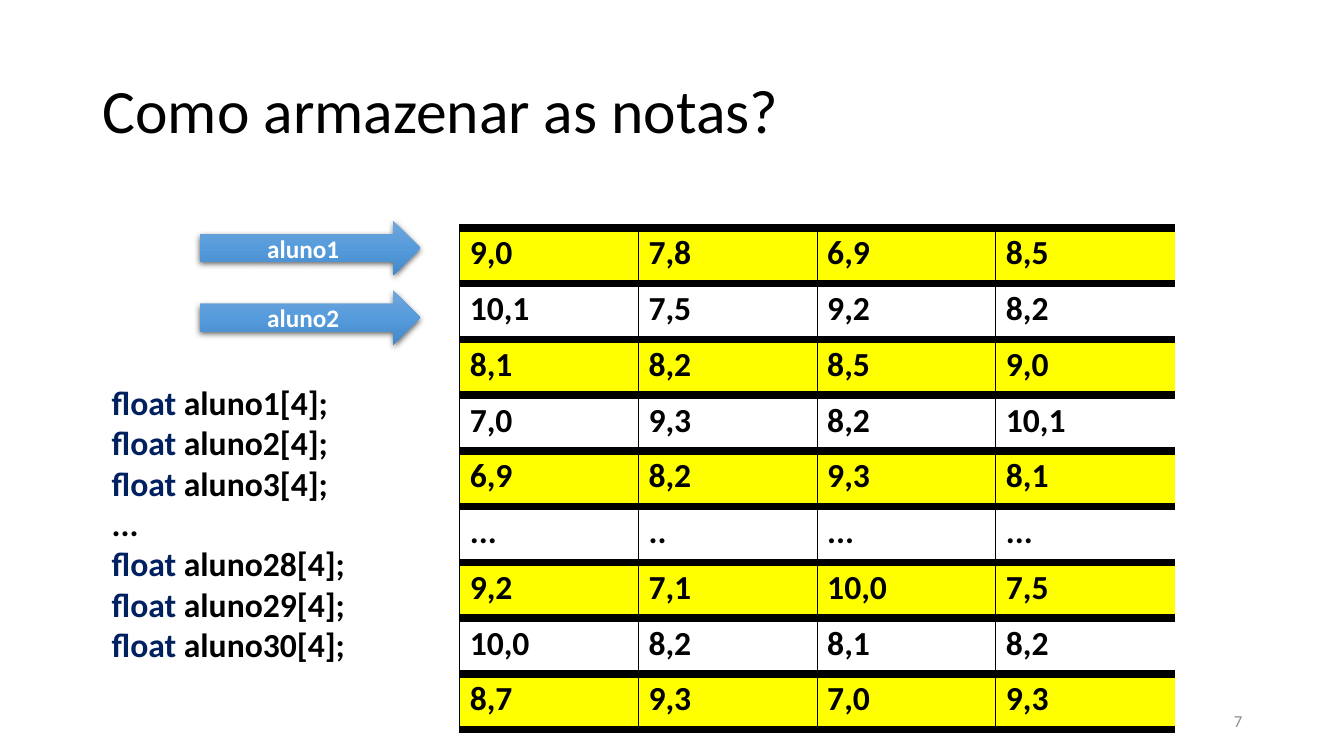
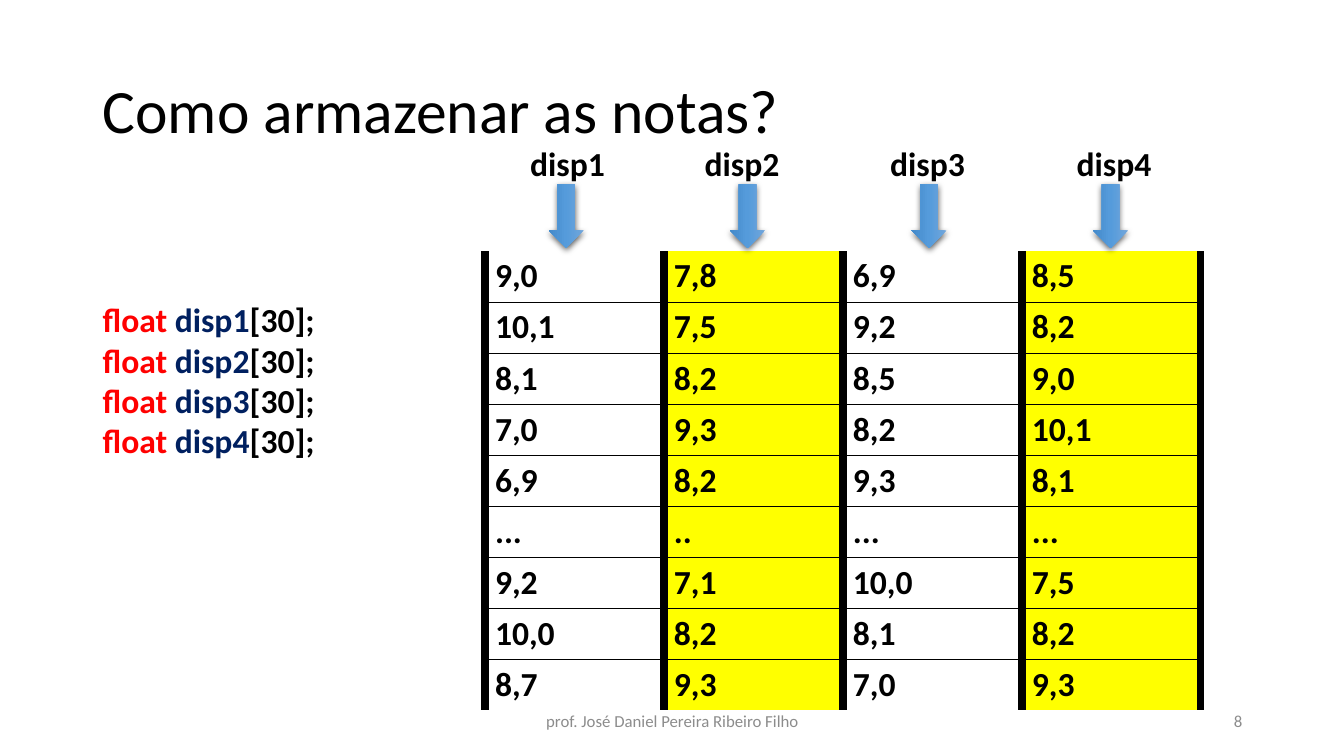
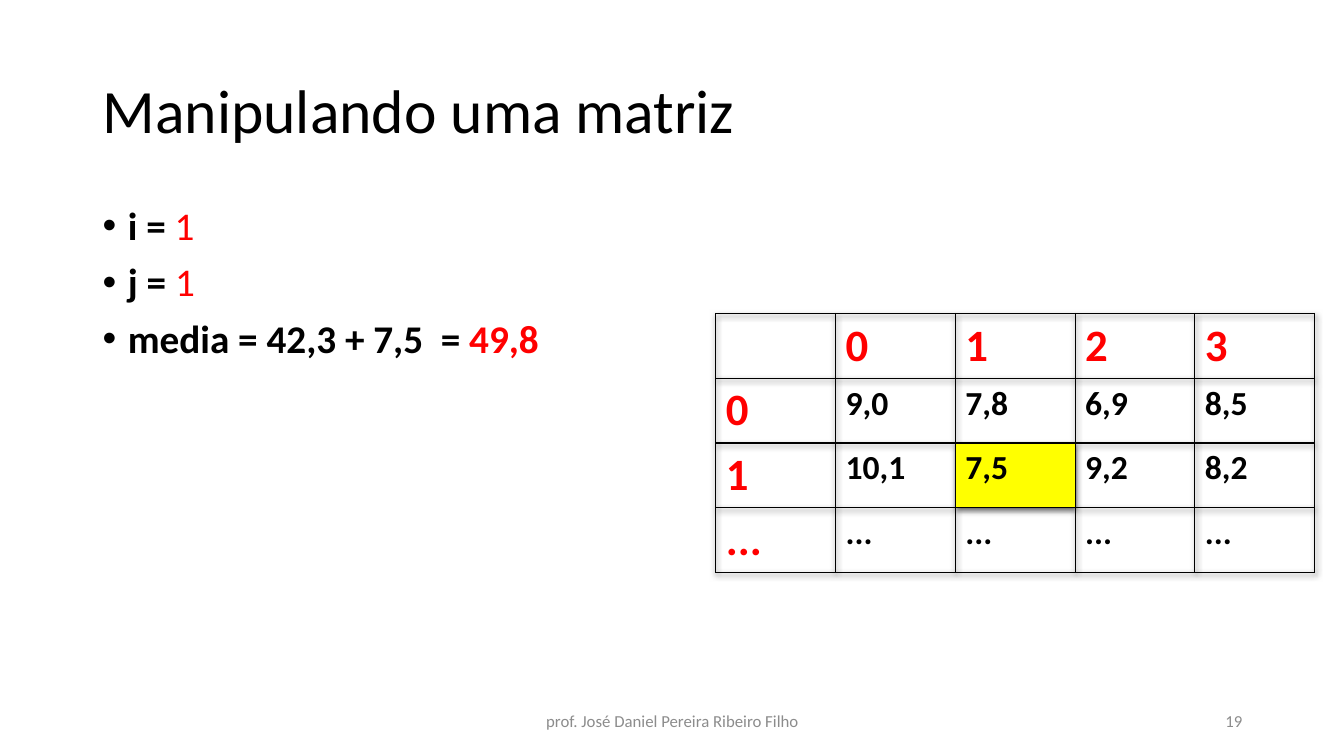
from dataclasses import dataclass
from typing import NamedTuple

from pptx import Presentation
from pptx.dml.color import RGBColor
from pptx.enum.shapes import MSO_SHAPE
from pptx.enum.text import MSO_ANCHOR, PP_ALIGN
from pptx.oxml import parse_xml
from pptx.oxml.ns import nsdecls, qn
from pptx.util import Inches, Pt

LEFT, CENTER, RIGHT = PP_ALIGN.LEFT, PP_ALIGN.CENTER, PP_ALIGN.RIGHT
TOP, MIDDLE = MSO_ANCHOR.TOP, MSO_ANCHOR.MIDDLE
RIGHT_ARROW = MSO_SHAPE.RIGHT_ARROW


@dataclass(frozen=True)
class Theme:
    """Colours, font and type sizes of the presentation."""
    font: str = "Calibri"
    black: str = "000000"
    white: str = "FFFFFF"
    grey: str = "8C8C8C"
    red: str = "FF0000"
    navy: str = "002060"
    yellow: str = "FFFF00"
    arrow_stops: tuple = ((0, "71A6DB"), (50, "559BDB"), (100, "448ACA"))
    title: int = 44
    heading: int = 32
    bullet: int = 28
    body: int = 24
    arrow: int = 18
    footer: int = 12


class Box(NamedTuple):
    """A region in inches."""
    left: float
    top: float
    width: float
    height: float

    def lengths(self):
        """Return the four sides as lengths."""
        return [Inches(side) for side in self]


class Run(NamedTuple):
    """A piece of text with its look."""
    text: str
    size: int
    color: str = "000000"
    bold: bool = False


THEME = Theme()
TITLE_BOX = Box(0.92, 0.4, 11.5, 1.45)
FOOTER_BOX = Box(4.42, 6.95, 4.5, 0.4)
NUMBER_BOX = Box(9.42, 6.95, 3, 0.4)
AUTHOR = "prof. José Daniel Pereira Ribeiro Filho"
GRADES = [row.split() for row in (
    "9,0 7,8 6,9 8,5", "10,1 7,5 9,2 8,2", "8,1 8,2 8,5 9,0",
    "7,0 9,3 8,2 10,1", "6,9 8,2 9,3 8,1", "... .. ... ...",
    "9,2 7,1 10,0 7,5", "10,0 8,2 8,1 8,2", "8,7 9,3 7,0 9,3")]


def write(text_frame, paragraphs, align=LEFT, **layout):
    """Fill a text frame with paragraphs, each a list of runs."""
    for index, runs in enumerate(paragraphs):
        paragraph = (text_frame.add_paragraph() if index
                     else text_frame.paragraphs[0])
        for name, value in {"alignment": align, **layout}.items():
            setattr(paragraph, name, value)
        for part in runs:
            run = paragraph.add_run()
            run.text = part.text
            look = {"name": THEME.font, "size": Pt(part.size),
                    "bold": part.bold}
            for name, value in look.items():
                setattr(run.font, name, value)
            run.font.color.rgb = RGBColor.from_string(part.color)


def add_text(slide, box, paragraphs, anchor=TOP, wrap=True, **layout):
    """Place a text box and return its text frame."""
    text_frame = slide.shapes.add_textbox(*box.lengths()).text_frame
    text_frame.word_wrap = wrap
    text_frame.vertical_anchor = anchor
    write(text_frame, paragraphs, **layout)
    return text_frame


def shadow_xml():
    """Build the soft shadow that arrows and the matrix share."""
    return parse_xml(
        f'<a:effectLst {nsdecls("a")}><a:outerShdw blurRad="{Pt(4.5)}" '
        f'dist="{Pt(1.5)}" dir="5400000" algn="ctr" rotWithShape="0">'
        f'<a:srgbClr val="{THEME.black}"><a:alpha val="63000"/></a:srgbClr>'
        '</a:outerShdw></a:effectLst>')


def add_arrow(slide, box, label="", rotation=0):
    """Place a shaded arrow, with a label if one is given."""
    arrow = slide.shapes.add_shape(RIGHT_ARROW, *box.lengths())
    arrow.rotation = rotation
    arrow.line.fill.background()
    stops = "".join(
        f'<a:gs pos="{position * 1000}"><a:srgbClr val="{color}"/></a:gs>'
        for position, color in THEME.arrow_stops)
    properties = arrow.element.spPr
    properties.find(qn("a:prstGeom")).addnext(parse_xml(
        f'<a:gradFill {nsdecls("a")} rotWithShape="1"><a:gsLst>{stops}'
        '</a:gsLst><a:lin ang="5400000" scaled="0"/></a:gradFill>'))
    properties.append(shadow_xml())
    if label:
        arrow.text_frame.vertical_anchor = MIDDLE
        write(arrow.text_frame,
              [[Run(label, THEME.arrow, THEME.white, True)]], align=CENTER)


def set_borders(cell, widths):
    """Draw left, right, top and bottom borders; a width of 0 hides one."""
    properties = cell._tc.get_or_add_tcPr()
    for index, (side, width) in enumerate(zip("LRTB", widths)):
        fill = (f'<a:solidFill><a:srgbClr val="{THEME.black}"/></a:solidFill>'
                if width else "<a:noFill/>")
        properties.insert(index, parse_xml(
            f'<a:ln{side} {nsdecls("a")} w="{Pt(width)}">{fill}</a:ln{side}>'))


def add_grid(slide, box, rows, is_marked, borders):
    """Place a table of runs; two rules give marked cells and borders."""
    row_count, column_count = len(rows), len(rows[0])
    table = slide.shapes.add_table(
        row_count, column_count, *box.lengths()).table
    for name in ("first_row", "horz_banding"):
        setattr(table, name, False)
    for column in table.columns:
        column.width = Inches(box.width / column_count)
    for row_index, row in enumerate(rows):
        table.rows[row_index].height = Inches(box.height / row_count)
        for column_index, run in enumerate(row):
            cell = table.cell(row_index, column_index)
            if is_marked(row_index, column_index):
                cell.fill.solid()
                cell.fill.fore_color.rgb = RGBColor.from_string(THEME.yellow)
            else:
                cell.fill.background()
            set_borders(cell, borders(row_index, column_index))
            write(cell.text_frame, [[run]] if run.text else [])
    return table


def bold_rows(rows):
    """Turn rows of text into rows of bold body runs."""
    return [[Run(text, THEME.body, bold=True) for text in row]
            for row in rows]


def add_frame(presentation, title, number, author=AUTHOR):
    """Start a slide with its title, footer and number."""
    slide = presentation.slides.add_slide(presentation.slide_layouts[6])
    add_text(slide, TITLE_BOX, [[Run(title, THEME.title)]], MIDDLE,
             line_spacing=0.9)
    for box, text, align in ((FOOTER_BOX, author, CENTER),
                             (NUMBER_BOX, str(number), RIGHT)):
        if text:
            add_text(slide, box, [[Run(text, THEME.footer, THEME.grey)]],
                     MIDDLE, align=align)
    return slide


def add_rows_slide(presentation):
    """Show one array per student, a row each."""
    slide = add_frame(presentation, "Como armazenar as notas?", 7, author="")
    last_column = len(GRADES[0]) - 1
    add_grid(slide, Box(4.56, 2.26, 7.09, 4.98), bold_rows(GRADES),
             lambda row, column: row % 2 == 0,
             lambda row, column: (0.75, 0.75 * (column < last_column), 6, 6))
    code = [[Run("float", THEME.body, THEME.navy, True),
             Run(f" aluno{student}[4];", THEME.body, bold=True)]
            for student in (1, 2, 3, 28, 29, 30)]
    code.insert(3, [Run("...", THEME.body, bold=True)])
    add_text(slide, Box(1.01, 3.74, 3.26, 2.93), code)
    for index in range(2):
        add_arrow(slide, Box(1.98, 2.19 + 0.69 * index, 2.19, 0.54),
                  f"aluno{index + 1}")


def add_columns_slide(presentation):
    """Show one array per subject, a column each."""
    slide = add_frame(presentation, "Como armazenar as notas?", 8)
    last_row = len(GRADES) - 1
    add_grid(slide, Box(4.81, 2.49, 7.1, 4.56), bold_rows(GRADES),
             lambda row, column: column % 2 == 1,
             lambda row, column: (6, 6, 0.25 * (row > 0),
                                  0.25 * (row < last_row)))
    names = [f"disp{subject}" for subject in range(1, 5)]
    add_text(slide, Box(0.92, 2.92, 2.8, 1.72), [
        [Run("float ", THEME.body, THEME.red, True),
         Run(name, THEME.body, THEME.navy, True),
         Run("[30];", THEME.body, bold=True)] for name in names])
    label_lefts = (5.16, 6.89, 8.73, 10.58)
    for index, (name, label_left) in enumerate(zip(names, label_lefts)):
        add_arrow(slide, Box(5.3 + 1.8 * index, 1.97, 0.63, 0.35),
                  rotation=90)
        add_text(slide, Box(label_left, 1.37, 0.95, 0.5),
                 [[Run(name, THEME.body, bold=True)]], wrap=False)


def add_matrix_slide(presentation):
    """Show a running sum beside the indexed matrix."""
    slide = add_frame(presentation, "Manipulando uma matriz", 19)
    steps = (("i = ", "1", False), ("j = ", "1", False),
             ("media = 42,3 + 7,5  = ", "49,8", True))
    text_frame = add_text(
        slide, Box(0.92, 2, 11.5, 4.76),
        [[Run(name, THEME.bullet, bold=True),
          Run(value, THEME.bullet, THEME.red, bold)]
         for name, value, bold in steps],
        line_spacing=0.9, space_before=Pt(10))
    for paragraph in text_frame.paragraphs:
        properties = paragraph._p.get_or_add_pPr()
        for name, value in {"marL": 0.25, "indent": -0.25}.items():
            properties.set(name, str(Inches(value)))
        properties.append(parse_xml(
            f'<a:buFont {nsdecls("a")} typeface="Arial"/>'))
        properties.append(parse_xml(f'<a:buChar {nsdecls("a")} char="•"/>'))

    def heading(text):
        return Run(text, THEME.heading, THEME.red, True)

    rows = [[heading(text) for text in ("", "0", "1", "2", "3")]]
    values = bold_rows([*GRADES[:2], ["..."] * 4])
    rows += [[heading(index), *row]
             for index, row in zip(("0", "1", "..."), values)]
    table = add_grid(slide, Box(7.1, 3.11, 5.94, 2.57), rows,
                     lambda row, column: (row, column) == (2, 2),
                     lambda row, column: (1, 1, 1, 1))
    table._tbl.tblPr.insert(0, shadow_xml())


def main():
    """Build and save the presentation."""
    presentation = Presentation()
    presentation.slide_width = Inches(13.33)
    presentation.slide_height = Inches(7.5)
    for add_slide in (add_rows_slide, add_columns_slide, add_matrix_slide):
        add_slide(presentation)
    presentation.save("out.pptx")


main()
